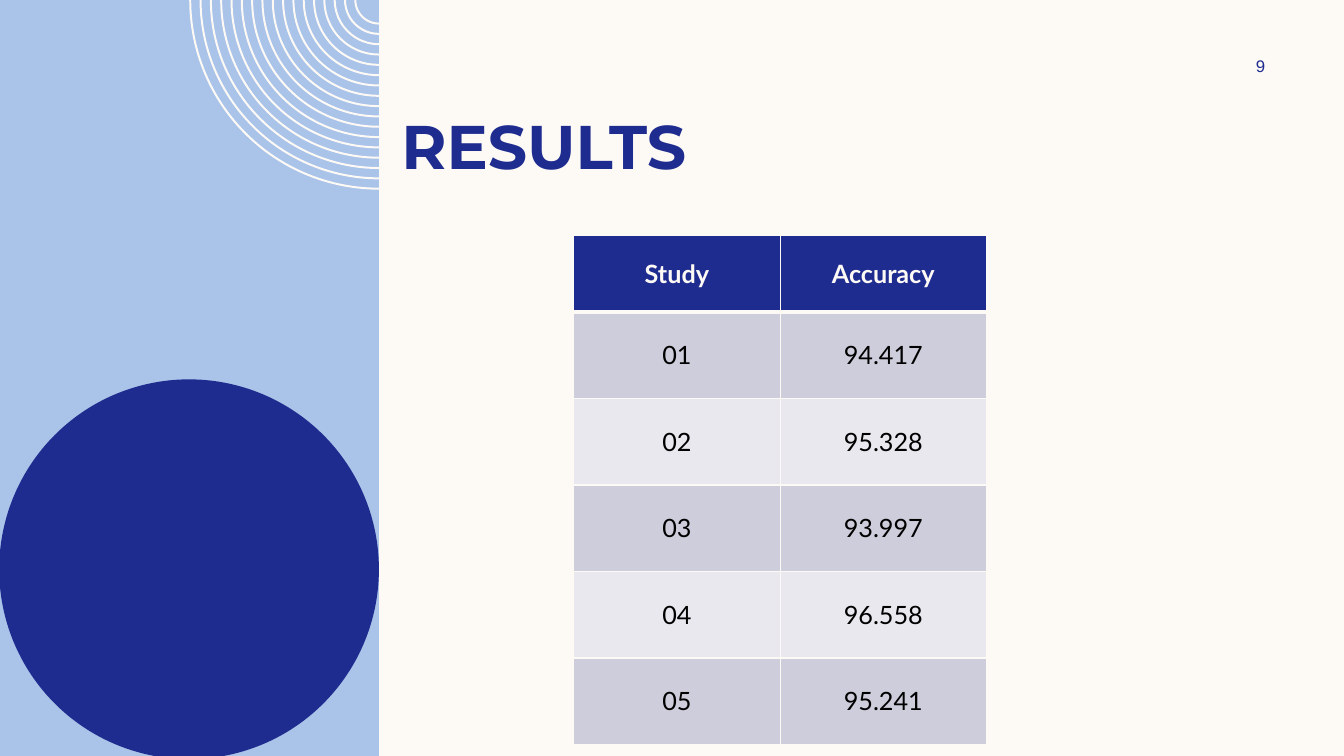
from lxml import etree
from pptx import Presentation
from pptx.dml.color import RGBColor
from pptx.enum.shapes import MSO_SHAPE
from pptx.enum.text import MSO_ANCHOR, PP_ALIGN
from pptx.oxml.ns import qn
from pptx.util import Cm, Pt

LEFT, CENTER = PP_ALIGN.LEFT, PP_ALIGN.CENTER
MIDDLE = MSO_ANCHOR.MIDDLE
TITLE_ONLY = 5
QUARTER = 90 * 60000

COLORS = {
    "cream": "FDFAF6",
    "sky": "AAC3E8",
    "navy": "1F2C8F",
    "black": "000000",
    "band_dark": "CDCDDB",
    "band_light": "E8E8EE",
}
RESULTS = [
    ("Study", "Accuracy"),
    ("01", "94.417"),
    ("02", "95.328"),
    ("03", "93.997"),
    ("04", "96.558"),
    ("05", "95.241"),
]
PANEL_LEFT, PANEL_WIDTH = -0.02, 9.57
PANEL_RIGHT = PANEL_LEFT + PANEL_WIDTH


def rgb(name):
    return RGBColor.from_string(COLORS[name])


def paint(sp, color):
    sp.fill.solid()
    sp.fill.fore_color.rgb = rgb(color)
    sp.line.fill.background()
    sp.shadow.inherit = False


def write(tf, text, font="Lato", size=18, color="black", bold=False, align=CENTER):
    p = tf.paragraphs[0]
    p.alignment = align
    r = p.add_run()
    r.text = text
    r.font.name = font
    r.font.size = Pt(size)
    r.font.bold = bold
    r.font.color.rgb = rgb(color)


def place(sp, left, top, width, height):
    sp.left, sp.top, sp.width, sp.height = Cm(left), Cm(top), Cm(width), Cm(height)


def add_block(slide, kind, left, top, width, height, color):
    sp = slide.shapes.add_shape(kind, Cm(left), Cm(top), Cm(width), Cm(height))
    paint(sp, color)


def bend(line_to, radius, start, sweep):
    """Replace a straight path segment with a circular arc."""
    arc = etree.Element(qn("a:arcTo"), wR=str(Cm(radius)), hR=str(Cm(radius)),
                        stAng=str(start), swAng=str(sweep))
    line_to.getparent().replace(line_to, arc)


def add_rings(slide, count=17, outer=4.78, gap=0.26, thickness=0.05):
    """Quarter rings around the panel's top right corner, as one freeform."""
    radii = [outer - i * gap for i in range(count)]
    right = Cm(PANEL_RIGHT)
    builder = slide.shapes.build_freeform(Cm(PANEL_RIGHT - outer), 0)
    for radius in radii:
        inner = radius - thickness
        if radius != outer:
            builder.move_to(Cm(PANEL_RIGHT - radius), 0)
        builder.add_line_segments([(right, Cm(radius)), (right, Cm(inner)),
                                   (Cm(PANEL_RIGHT - inner), 0)], close=True)
    sp = builder.convert_to_shape()
    paint(sp, "cream")
    segments = list(sp._element.iter(qn("a:lnTo")))
    for radius, outside, inside in zip(radii, segments[::3], segments[2::3]):
        bend(outside, radius, 2 * QUARTER, -QUARTER)
        bend(inside, radius - thickness, QUARTER, QUARTER)


def set_borders(cell, **widths):
    """Draw cream borders; widths in points by side: L, R, T, B."""
    tc_pr = cell._tc.get_or_add_tcPr()
    for side, width in widths.items():
        ln = etree.SubElement(tc_pr, qn(f"a:ln{side}"), w=str(Pt(width)))
        fill = etree.SubElement(ln, qn("a:solidFill"))
        etree.SubElement(fill, qn("a:srgbClr"), val=COLORS["cream"])


def add_results_table(slide, left, top, col_width, header_height, row_height):
    n_rows, n_cols = len(RESULTS), len(RESULTS[0])
    height = header_height + row_height * (n_rows - 1)
    table = slide.shapes.add_table(n_rows, n_cols, Cm(left), Cm(top),
                                   Cm(col_width * n_cols), Cm(height)).table
    for column in table.columns:
        column.width = Cm(col_width)
    for i, values in enumerate(RESULTS):
        header = i == 0
        table.rows[i].height = Cm(header_height if header else row_height)
        band = "navy" if header else "band_dark" if i % 2 else "band_light"
        for j, value in enumerate(values):
            cell = table.cell(i, j)
            set_borders(cell, L=1, R=1, T=3 if i == 1 else 1, B=3 if header else 1)
            cell.fill.solid()
            cell.fill.fore_color.rgb = rgb(band)
            cell.vertical_anchor = MIDDLE
            write(cell.text_frame, value, bold=header,
                  color="cream" if header else "black")


def add_title(slide, text):
    sp = slide.shapes.title
    place(sp, 9.86, 2.59, 22.68, 2.13)
    sp.text_frame.vertical_anchor = MIDDLE
    write(sp.text_frame, text, font="Montserrat", size=44, color="navy",
          bold=True, align=LEFT)


def add_page_number(slide, text):
    sp = slide.shapes.add_textbox(Cm(30.4), Cm(1.27), Cm(2.74), Cm(0.76))
    sp.text_frame.word_wrap = True
    sp.text_frame.vertical_anchor = MIDDLE
    write(sp.text_frame, text, font="Arial", size=12, color="navy")


def main():
    prs = Presentation()
    prs.slide_width, prs.slide_height = Cm(33.87), Cm(19.05)
    slide = prs.slides.add_slide(prs.slide_layouts[TITLE_ONLY])
    slide.background.fill.solid()
    slide.background.fill.fore_color.rgb = rgb("cream")

    add_block(slide, MSO_SHAPE.RECTANGLE, PANEL_LEFT, 0, PANEL_WIDTH, 19.13, "sky")
    add_rings(slide)
    add_block(slide, MSO_SHAPE.OVAL, PANEL_LEFT, 9.56, PANEL_WIDTH, PANEL_WIDTH, "navy")
    add_title(slide, "RESULTS")
    add_page_number(slide, "9")
    add_results_table(slide, left=14.46, top=5.93, col_width=5.2,
                      header_height=1.93, row_height=2.18)
    prs.save("out.pptx")


if __name__ == "__main__":
    main()
